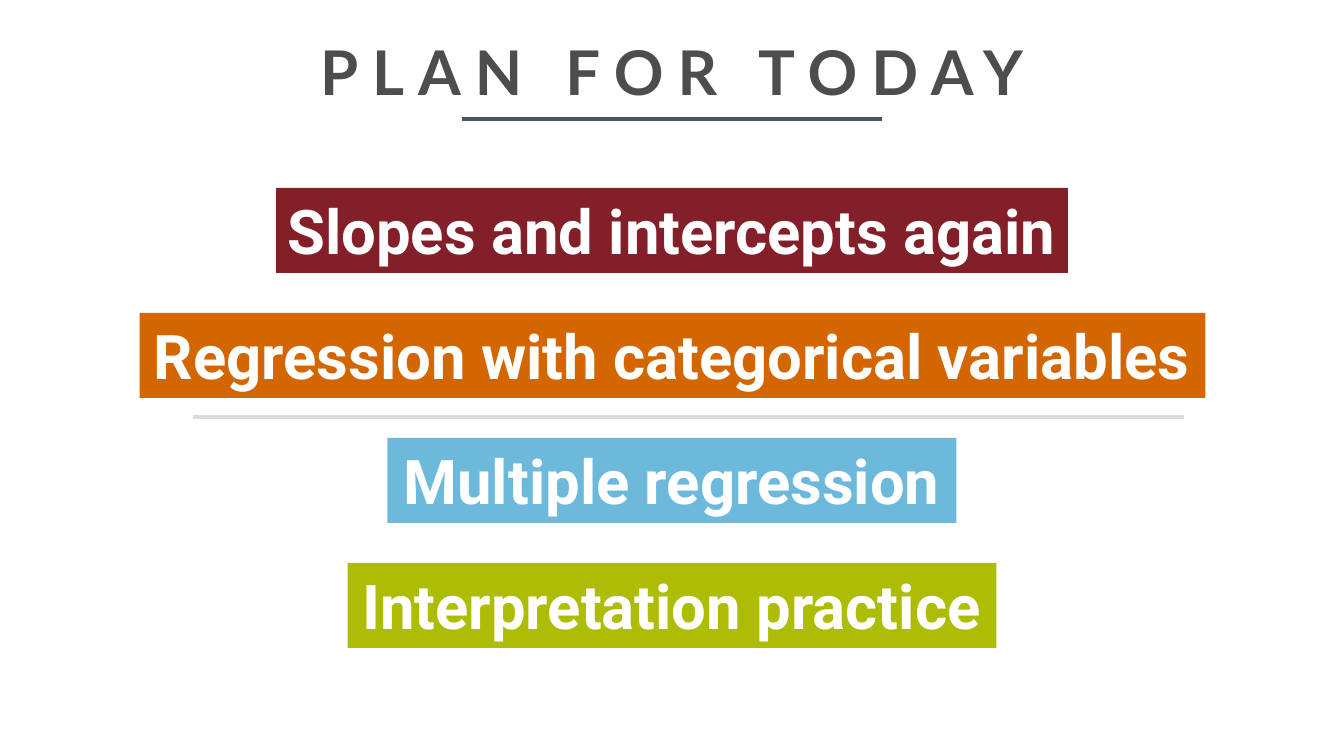
from dataclasses import dataclass

from lxml.etree import SubElement
from pptx import Presentation
from pptx.dml.color import RGBColor
from pptx.enum.shapes import MSO_CONNECTOR, MSO_SHAPE
from pptx.enum.text import MSO_ANCHOR, MSO_AUTO_SIZE, PP_ALIGN
from pptx.oxml.ns import qn
from pptx.util import Emu, Pt

EMU_PER_PX = 9525
SLIDE_WIDTH, SLIDE_HEIGHT = 1280, 720
TOPIC_TOP, TOPIC_STEP, TOPIC_HEIGHT = 179, 119, 81
TOPIC_AXIS = 1281


@dataclass(frozen=True)
class Theme:
    ink: str = "4D4D4D"
    white: str = "FFFFFF"
    navy: str = "44546A"
    grey: str = "DBDBDB"
    maroon: str = "821F29"
    orange: str = "D46600"
    blue: str = "6CB9DC"
    green: str = "ADBD06"
    title_font: str = "Lato"
    topic_font: str = "Roboto"
    text_size: int = 44
    title_tracking: int = 10
    title_line_spacing: float = 1.1
    rule_width: int = 3


def px(length):
    return Emu(length * EMU_PER_PX)


def apply_format(target, values):
    for name, value in values.items():
        setattr(target, name, value)


class SlideBuilder:
    def __init__(self, theme, page):
        self.theme = theme
        self.page = page

    def set_text(self, shape, text, font_name, color, frame_format):
        frame = shape.text_frame
        apply_format(frame, {"word_wrap": True, **frame_format})
        para = frame.paragraphs[0]
        para.alignment = PP_ALIGN.CENTER
        span = para.add_run()
        span.text = text
        apply_format(span.font, {
            "name": font_name,
            "size": Pt(self.theme.text_size),
            "bold": True,
        })
        span.font.color.rgb = RGBColor.from_string(color)
        return para, span

    def title(self, text, left, top, width, height):
        box = self.page.shapes.title
        apply_format(box, {
            "left": px(left), "top": px(top),
            "width": px(width), "height": px(height),
        })
        para, span = self.set_text(box, text, self.theme.title_font, self.theme.ink, {
            "vertical_anchor": MSO_ANCHOR.MIDDLE,
            "auto_size": MSO_AUTO_SIZE.NONE,
        })
        para.line_spacing = self.theme.title_line_spacing
        span.font._element.set("spc", str(self.theme.title_tracking * 100))

    def topic(self, text, color, left, top, width, height):
        box = self.page.shapes.add_shape(
            MSO_SHAPE.RECTANGLE, px(left), px(top), px(width), px(height))
        box.shadow.inherit = False
        box.fill.solid()
        box.fill.fore_color.rgb = RGBColor.from_string(color)
        box.line.fill.background()
        self.set_text(box, text, self.theme.topic_font, self.theme.white, {
            "vertical_anchor": MSO_ANCHOR.TOP,
            "auto_size": MSO_AUTO_SIZE.SHAPE_TO_FIT_TEXT,
            "margin_left": 0,
            "margin_right": 0,
        })

    def rule(self, color, left, right, top):
        line = self.page.shapes.add_connector(
            MSO_CONNECTOR.STRAIGHT, px(left), px(top), px(right), px(top))
        line.line.color.rgb = RGBColor.from_string(color)
        line.line.width = Pt(self.theme.rule_width)
        SubElement(line._element.spPr, qn("a:effectLst"))


def main():
    deck = Presentation()
    deck.slide_width, deck.slide_height = px(SLIDE_WIDTH), px(SLIDE_HEIGHT)
    theme = Theme()
    builder = SlideBuilder(theme, deck.slides.add_slide(deck.slide_layouts[5]))

    builder.title("PLAN FOR TODAY", 88, 16, 1104, 96)
    builder.rule(theme.navy, 440, 840, 113)
    builder.rule(theme.grey, 184, 1128, 397)

    topics = [
        ("Slopes and intercepts again", theme.maroon, 754),
        ("Regression with categorical variables", theme.orange, 1015),
        ("Multiple regression", theme.blue, 542),
        ("Interpretation practice", theme.green, 618),
    ]
    for index, (text, color, width) in enumerate(topics):
        left = (TOPIC_AXIS - width) // 2
        top = TOPIC_TOP + index * TOPIC_STEP
        builder.topic(text, color, left, top, width, TOPIC_HEIGHT)

    deck.save("out.pptx")


if __name__ == "__main__":
    main()
